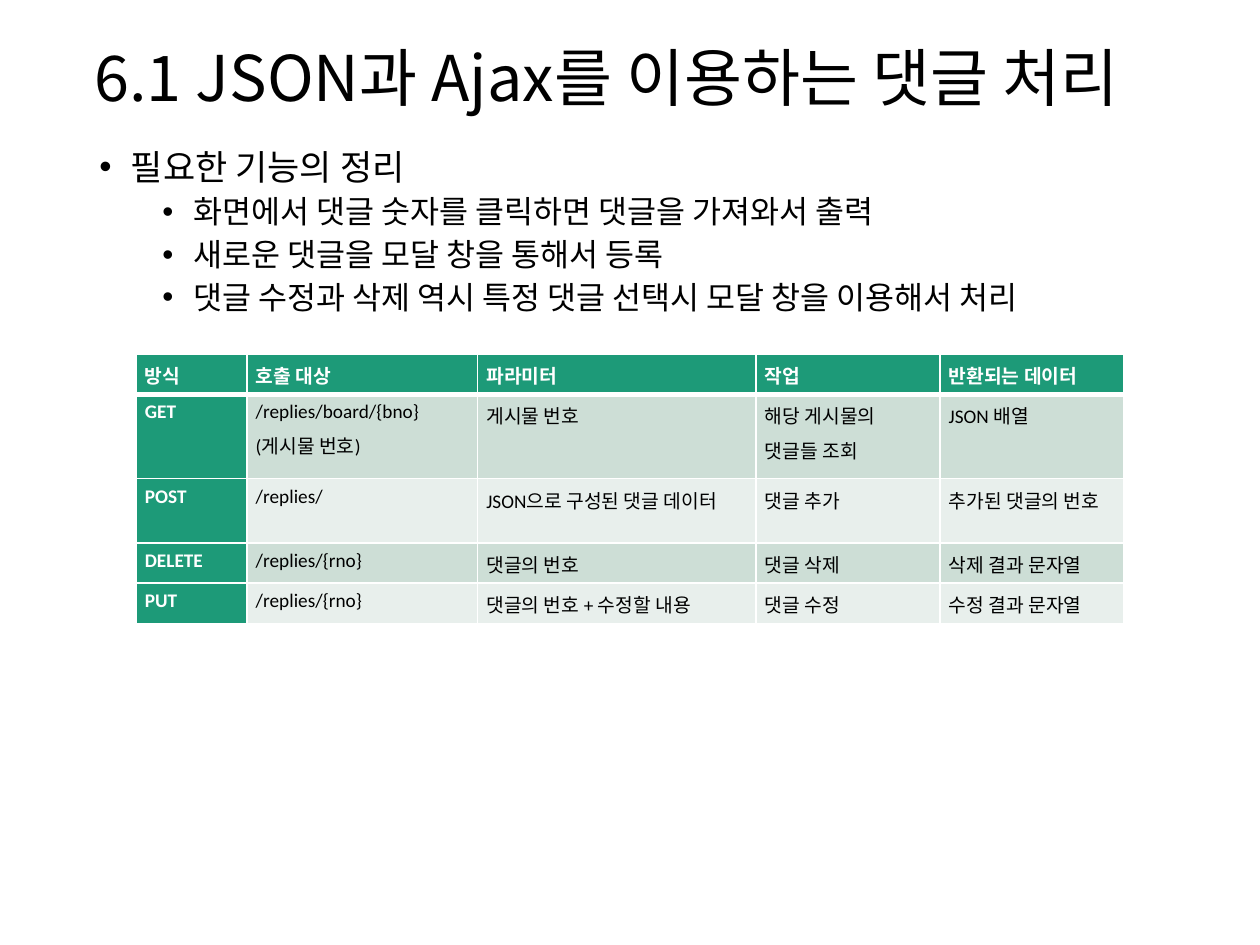
import pptx
import pptx.dml.color
import pptx.enum.text
import pptx.oxml
import pptx.oxml.ns
import pptx.util
from lxml import etree

Inches = pptx.util.Inches
Pt = pptx.util.Pt
RGBColor = pptx.dml.color.RGBColor
qn = pptx.oxml.ns.qn

BLACK = RGBColor(0x00, 0x00, 0x00)
WHITE = RGBColor(0xFF, 0xFF, 0xFF)
GREEN = RGBColor(0x1D, 0x9A, 0x78)
BANDS = (RGBColor(0xCD, 0xDE, 0xD6), RGBColor(0xE8, 0xEF, 0xEC))
KOREAN_FONT = "Noto Sans CJK KR"
LATIN_FONT = "Calibri"

TITLE = "6.1 JSON과 Ajax를 이용하는 댓글 처리"
BULLETS = [
    (0, "필요한 기능의 정리"),
    (1, "화면에서 댓글 숫자를 클릭하면 댓글을 가져와서 출력"),
    (1, "새로운 댓글을 모달 창을 통해서 등록"),
    (1, "댓글 수정과 삭제 역시 특정 댓글 선택시 모달 창을 이용해서 처리"),
]
BULLET_LEVELS = [
    {"indent": 0.25, "size": 20, "before": 10},
    {"indent": 0.75, "size": 18, "before": 5},
]
COLUMN_WIDTHS = (0.88, 1.83, 2.21, 1.46, 1.46)
ROW_HEIGHTS = (0.32, 0.67, 0.51, 0.32, 0.32)
ROWS = [
    ("방식", "호출 대상", "파라미터", "작업", "반환되는 데이터"),
    ("GET", "/replies/board/{bno} (게시물 번호)", "게시물 번호",
     "해당 게시물의 댓글들 조회", "JSON 배열"),
    ("POST", "/replies/", "JSON으로 구성된 댓글 데이터", "댓글 추가", "추가된 댓글의 번호"),
    ("DELETE", "/replies/{rno}", "댓글의 번호", "댓글 삭제", "삭제 결과 문자열"),
    ("PUT", "/replies/{rno}", "댓글의 번호 + 수정할 내용", "댓글 수정", "수정 결과 문자열"),
]


def apply(target, values):
    """Set each named attribute on the target."""
    for name, value in values.items():
        setattr(target, name, value)


def write(para, text, size, color, font=KOREAN_FONT, bold=False):
    """Add one span of text with its Latin and Korean fonts."""
    span = para.add_run()
    span.text = text
    apply(span.font, {"name": font, "size": Pt(size), "bold": bold})
    span.font.color.rgb = color
    latin = span.font._element.find(qn("a:latin"))
    east_asian = etree.Element(qn("a:ea"), typeface=KOREAN_FONT)
    latin.addnext(east_asian)


def place(left, top, width, height):
    """Return a box as position and size attributes."""
    names = ("left", "top", "width", "height")
    return dict(zip(names, map(Inches, (left, top, width, height))))


def add_title(page, box):
    """Place the slide title in the box."""
    title = page.shapes.title
    apply(title, box)
    apply(title.text_frame, {
        "word_wrap": True,
        "auto_size": pptx.enum.text.MSO_AUTO_SIZE.NONE,
        "vertical_anchor": pptx.enum.text.MSO_ANCHOR.MIDDLE,
    })
    para = title.text_frame.paragraphs[0]
    apply(para, {"alignment": pptx.enum.text.PP_ALIGN.LEFT, "line_spacing": 0.9})
    write(para, TITLE, 36, BLACK)


def add_bullets(page, box):
    """Place the bulleted list in the box."""
    frame = page.shapes.add_textbox(**box).text_frame
    frame.word_wrap = True
    for index, (level, text) in enumerate(BULLETS):
        para = frame.add_paragraph() if index else frame.paragraphs[0]
        style = BULLET_LEVELS[level]
        apply(para, {"level": level, "line_spacing": 0.9,
                     "space_before": Pt(style["before"])})
        properties = para._p.get_or_add_pPr()
        properties.set("marL", str(Inches(style["indent"])))
        properties.set("indent", str(Inches(-0.25)))
        etree.SubElement(properties, qn("a:buFont"), typeface="Arial")
        etree.SubElement(properties, qn("a:buChar"), char="•")
        write(para, text, style["size"], BLACK)


def add_borders(cell, row):
    """Draw white cell borders, heavier below the heading row."""
    widths = {"L": 1, "R": 1, "T": 3 if row == 1 else 1, "B": 3 if row == 0 else 1}
    properties = cell._tc.get_or_add_tcPr()
    for side, width in widths.items():
        line = etree.SubElement(properties, qn("a:ln" + side), w=str(Pt(width)))
        fill = etree.SubElement(line, qn("a:solidFill"))
        etree.SubElement(fill, qn("a:srgbClr"), val=str(WHITE))


def add_requests(page, box):
    """Place the table of requests in the box."""
    table = page.shapes.add_table(len(ROWS), len(COLUMN_WIDTHS), **box).table
    for column, width in zip(table.columns, COLUMN_WIDTHS):
        column.width = Inches(width)
    for row, height in zip(table.rows, ROW_HEIGHTS):
        row.height = Inches(height)
    for row, texts in enumerate(ROWS):
        for column, text in enumerate(texts):
            cell = table.cell(row, column)
            heading = row == 0 or column == 0
            apply(cell, {"margin_left": Inches(0.07), "margin_right": Inches(0.07),
                         "margin_top": 0, "margin_bottom": 0})
            add_borders(cell, row)
            cell.fill.solid()
            cell.fill.fore_color.rgb = GREEN if heading else BANDS[(row - 1) % 2]
            para = cell.text_frame.paragraphs[0]
            apply(para, {"line_spacing": 1.25, "space_after": Pt(5)})
            write(para, text, 11, WHITE if heading else BLACK, LATIN_FONT, heading)


def build():
    """Build the deck and save it."""
    deck = pptx.Presentation()
    apply(deck, {"slide_width": Inches(10), "slide_height": Inches(7.5)})
    page = deck.slides.add_slide(deck.slide_layouts[5])
    add_title(page, place(0.65, 0.15, 8.7, 0.99))
    add_bullets(page, place(0.69, 1.14, 8.62, 5.62))
    add_requests(page, place(1.08, 2.81, 7.83, 2.13))
    deck.save("out.pptx")


build()
